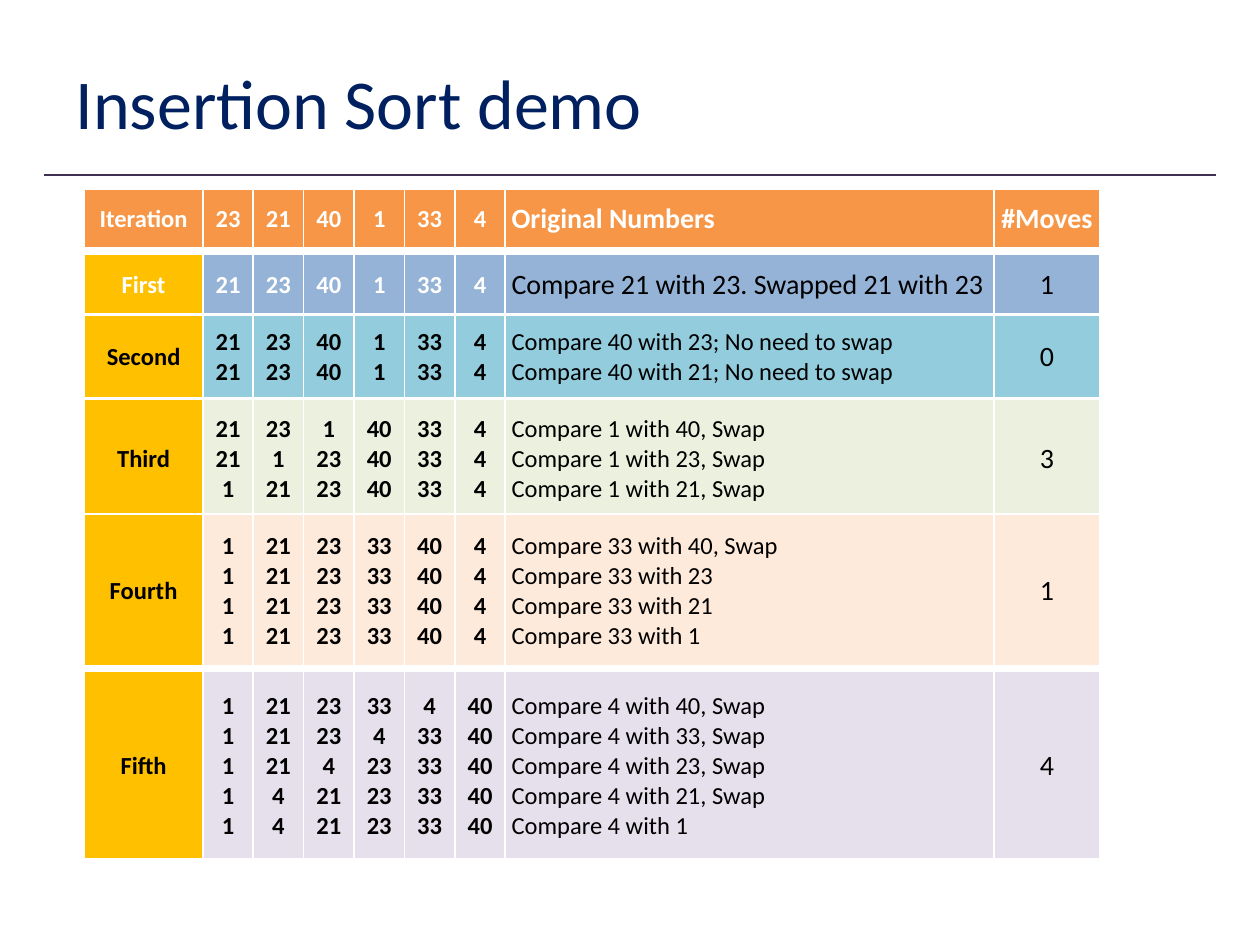
"""Build the insertion sort slide: a title, a rule and one table per pass."""
from lxml import etree
from pptx import Presentation
from pptx import util as u
from pptx.dml.color import RGBColor
from pptx.enum import shapes, text
from pptx.oxml.ns import qn

WHITE = RGBColor(0xFF, 0xFF, 0xFF)
BLACK = RGBColor(0x00, 0x00, 0x00)
NAVY = RGBColor(0x00, 0x20, 0x60)
PLUM = RGBColor(0x40, 0x31, 0x52)
GOLD = RGBColor(0xFF, 0xC0, 0x00)
ORANGE = RGBColor(0xF7, 0x96, 0x46)
BLUE = RGBColor(0x95, 0xB3, 0xD7)
AQUA = RGBColor(0x93, 0xCD, 0xDD)
GREEN = RGBColor(0xEB, 0xF1, 0xDE)
PEACH = RGBColor(0xFD, 0xEA, 0xDA)
LILAC = RGBColor(0xE6, 0xE0, 0xEC)

LEFT = 0.67
COLS = [0.94] + [0.4] * 6 + [3.88, 0.84]
EDGES = {"a:lnL": 1, "a:lnR": 1, "a:lnT": 1, "a:lnB": 3}

HEAD = dict(top=1.5, high=0.48, name="Iteration", lists=["23 21 40 1 33 4"],
            notes=["Original Numbers"], moves="#Moves", tint=ORANGE, key=ORANGE,
            ink=WHITE, ends=dict(size=16, bold=True, color=WHITE))
FIRST = dict(top=2.02, high=0.48, name="First", lists=["21 23 40 1 33 4"],
             notes=["Compare 21 with 23. Swapped 21 with 23"], moves="1",
             tint=BLUE, ink=WHITE, ends=dict(size=16))
SECOND = dict(top=2.5, high=0.67, name="Second", lists=["21 23 40 1 33 4"] * 2,
              notes=["Compare 40 with 23; No need to swap",
                     "Compare 40 with 21; No need to swap"], moves="0", tint=AQUA)
THIRD = dict(top=3.17, high=0.95, name="Third",
             lists=["21 23 1 40 33 4", "21 1 23 40 33 4", "1 21 23 40 33 4"],
             notes=["Compare 1 with 40, Swap", "Compare 1 with 23, Swap",
                    "Compare 1 with 21, Swap"], moves="3", tint=GREEN)
FOURTH = dict(top=4.08, high=1.22, name="Fourth", lists=["1 21 23 33 40 4"] * 4,
              notes=["Compare 33 with 40, Swap", "Compare 33 with 23",
                     "Compare 33 with 21", "Compare 33 with 1"], moves="1", tint=PEACH)
FIFTH = dict(top=5.33, high=1.5, name="Fifth",
             lists=["1 21 23 33 4 40", "1 21 23 4 33 40", "1 21 4 23 33 40",
                    "1 4 21 23 33 40", "1 4 21 23 33 40"],
             notes=["Compare 4 with 40, Swap", "Compare 4 with 33, Swap",
                    "Compare 4 with 23, Swap", "Compare 4 with 21, Swap",
                    "Compare 4 with 1"], moves="4", tint=LILAC)


def write(frame, lines, size=14, bold=False, color=BLACK, align=text.PP_ALIGN.CENTER):
    """Write one paragraph per line in the given format."""
    for i, line in enumerate(lines):
        para = frame.add_paragraph() if i else frame.paragraphs[0]
        para.alignment = align
        run = para.add_run()
        run.text = line
        font = run.font
        font.name, font.size, font.bold = "Calibri", u.Pt(size), bold
        font.color.rgb = color


def edge(cell):
    """Give a cell its white borders."""
    props = cell._tc.get_or_add_tcPr()
    for tag, width in EDGES.items():
        line = etree.SubElement(props, qn(tag), w=str(u.Pt(width)))
        fill = etree.SubElement(line, qn("a:solidFill"))
        etree.SubElement(fill, qn("a:srgbClr"), val=str(WHITE))


def paint(cell, lines, tint, **style):
    """Set a cell's borders, fill, margins and text."""
    edge(cell)
    cell.fill.solid()
    cell.fill.fore_color.rgb = tint
    cell.vertical_anchor = text.MSO_ANCHOR.MIDDLE
    cell.margin_left = cell.margin_right = u.Inches(0.05)
    cell.margin_top = cell.margin_bottom = u.Inches(0.05)
    write(cell.text_frame, lines, **style)


def add_pass(slide, top, high, name, lists, notes, moves, tint,
             key=GOLD, ink=BLACK, ends=None):
    """Add the one-row table of a sorting pass."""
    frame = slide.shapes.add_table(1, len(COLS), u.Inches(LEFT), u.Inches(top),
                                   u.Inches(sum(COLS)), u.Inches(high))
    table = frame.table
    for col, width in zip(table.columns, COLS):
        col.width = u.Inches(width)
    cells = list(table.rows[0].cells)
    paint(cells[0], [name], key, bold=True, color=ink)
    for cell, nums in zip(cells[1:7], zip(*(row.split() for row in lists))):
        paint(cell, nums, tint, bold=True, color=ink)
    paint(cells[7], notes, tint, align=text.PP_ALIGN.LEFT, **(ends or {}))
    paint(cells[8], [moves], tint, **(ends or dict(size=16)))


def add_title(slide, words):
    """Place and format the title."""
    title = slide.shapes.title
    title.left, title.top = u.Inches(0.5), u.Inches(0.3)
    title.width, title.height = u.Inches(9), u.Inches(1.01)
    title.text_frame.vertical_anchor = text.MSO_ANCHOR.MIDDLE
    write(title.text_frame, [words], size=40, color=NAVY, align=text.PP_ALIGN.LEFT)


def add_rule(slide):
    """Draw the rule under the title."""
    rule = slide.shapes.add_connector(shapes.MSO_CONNECTOR.STRAIGHT, u.Inches(0.35),
                                      u.Inches(1.39), u.Inches(9.65), u.Inches(1.39))
    rule.line.color.rgb = PLUM
    rule.line.width = u.Pt(1)
    etree.SubElement(rule._element.spPr, qn("a:effectLst"))


def main():
    """Build and save the slide."""
    deck = Presentation()
    deck.slide_width, deck.slide_height = u.Inches(10), u.Inches(7.5)
    slide = deck.slides.add_slide(deck.slide_layouts[5])
    add_rule(slide)
    add_title(slide, "Insertion Sort demo")
    for step in (FIFTH, HEAD, FIRST, SECOND, THIRD, FOURTH):
        add_pass(slide, **step)
    deck.save("out.pptx")


if __name__ == "__main__":
    main()
